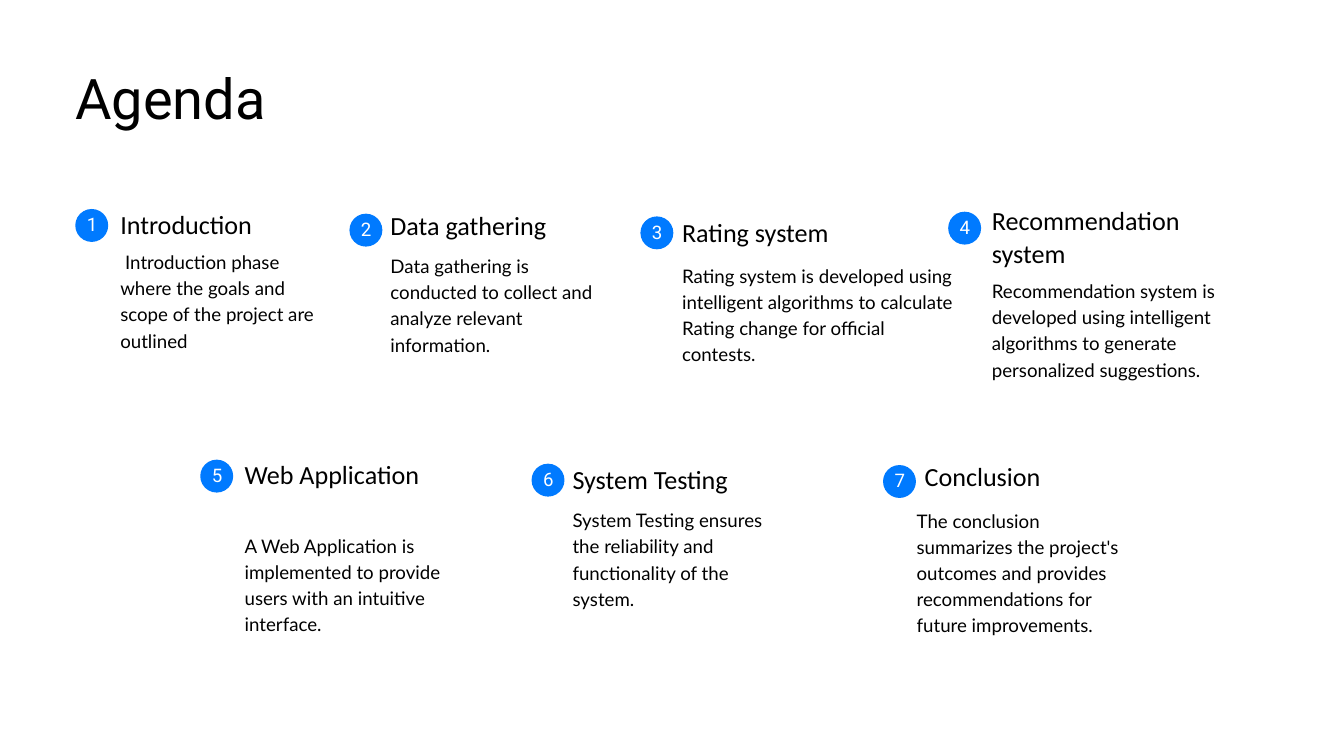
"""Build the Agenda slide with seven numbered topics."""
from pptx import Presentation
from pptx import util as u
from pptx.dml.color import RGBColor
from pptx.enum import shapes, text

PX = 9144
COLORS = {"ink": "000000", "badge": "007AFF", "number": "FFFFFF"}
STYLES = {
    "title": ("Roboto", 60, 72, "ink", text.PP_ALIGN.LEFT),
    "heading": ("Calibri", 28, 34.7, "ink", text.PP_ALIGN.LEFT),
    "detail": ("Lato", 20, 28, "ink", text.PP_ALIGN.LEFT),
    "number": ("Roboto", 20, 24.8, "number", text.PP_ALIGN.CENTER),
}
BADGE = 49
NUMBER_INSET = (8, 5)
NUMBER_SIZE = (34, 39)

TITLE = ("Agenda", (112, 94, 1078, 118))
TOPICS = [
    ("Introduction",
     " Introduction phase where the goals and scope of the project are outlined",
     (112, 311), (179, 308, 305, 57), (179, 368, 305, 153)),
    ("Data gathering",
     "Data gathering is conducted to collect and analyze relevant information.",
     (520, 318), (581, 310, 305, 57), (581, 374, 305, 153)),
    ("Rating system",
     "Rating system is developed using intelligent algorithms to calculate "
     "Rating change for official contests.",
     (953, 322), (1015, 320, 374, 57), (1015, 388, 412, 153)),
    ("Recommendation system",
     "Recommendation system is developed using intelligent algorithms to "
     "generate personalized suggestions.",
     (1411, 315), (1476, 303, 374, 105), (1476, 411, 412, 191)),
    ("Web Application",
     "A Web Application is implemented to provide users with an intuitive interface.",
     (298, 684), (364, 681, 305, 105), (364, 790, 305, 153)),
    ("System Testing",
     "System Testing ensures the reliability and functionality of the system.",
     (791, 690), (852, 688, 344, 57), (852, 752, 305, 153)),
    ("Conclusion",
     "The conclusion summarizes the project's outcomes and provides "
     "recommendations for future improvements.",
     (1314, 692), (1376, 684, 305, 57), (1364, 753, 305, 191)),
]


def emu(*lengths):
    return [length * PX for length in lengths]


def add_text(parent, words, box, style):
    font_name, size, spacing, color, align = STYLES[style]
    frame = parent.add_textbox(*emu(*box)).text_frame
    frame.word_wrap = True
    frame.margin_left = frame.margin_right = 0
    frame.margin_top = frame.margin_bottom = 0
    paragraph = frame.paragraphs[0]
    paragraph.text = words
    paragraph.alignment = align
    paragraph.line_spacing = u.Pt(spacing)
    paragraph.font.name = font_name
    paragraph.font.size = u.Pt(size)
    paragraph.font.color.rgb = RGBColor.from_string(COLORS[color])


def add_badge(slide, number, left, top):
    badge = slide.shapes.add_group_shape().shapes
    disc = badge.add_shape(shapes.MSO_SHAPE.OVAL, *emu(left, top, BADGE, BADGE))
    disc.shadow.inherit = False
    disc.fill.solid()
    disc.fill.fore_color.rgb = RGBColor.from_string(COLORS["badge"])
    disc.line.fill.background()
    dx, dy = NUMBER_INSET
    add_text(badge, str(number), (left + dx, top + dy, *NUMBER_SIZE), "number")


def main():
    deck = Presentation()
    deck.slide_width, deck.slide_height = emu(2000, 1125)
    slide = deck.slides.add_slide(deck.slide_layouts[6])
    add_text(slide.shapes, *TITLE, "title")
    for number, topic in enumerate(TOPICS, 1):
        heading, detail, badge_at, heading_box, detail_box = topic
        add_badge(slide, number, *badge_at)
        add_text(slide.shapes, heading, heading_box, "heading")
        add_text(slide.shapes, detail, detail_box, "detail")
    deck.save("out.pptx")


if __name__ == "__main__":
    main()
